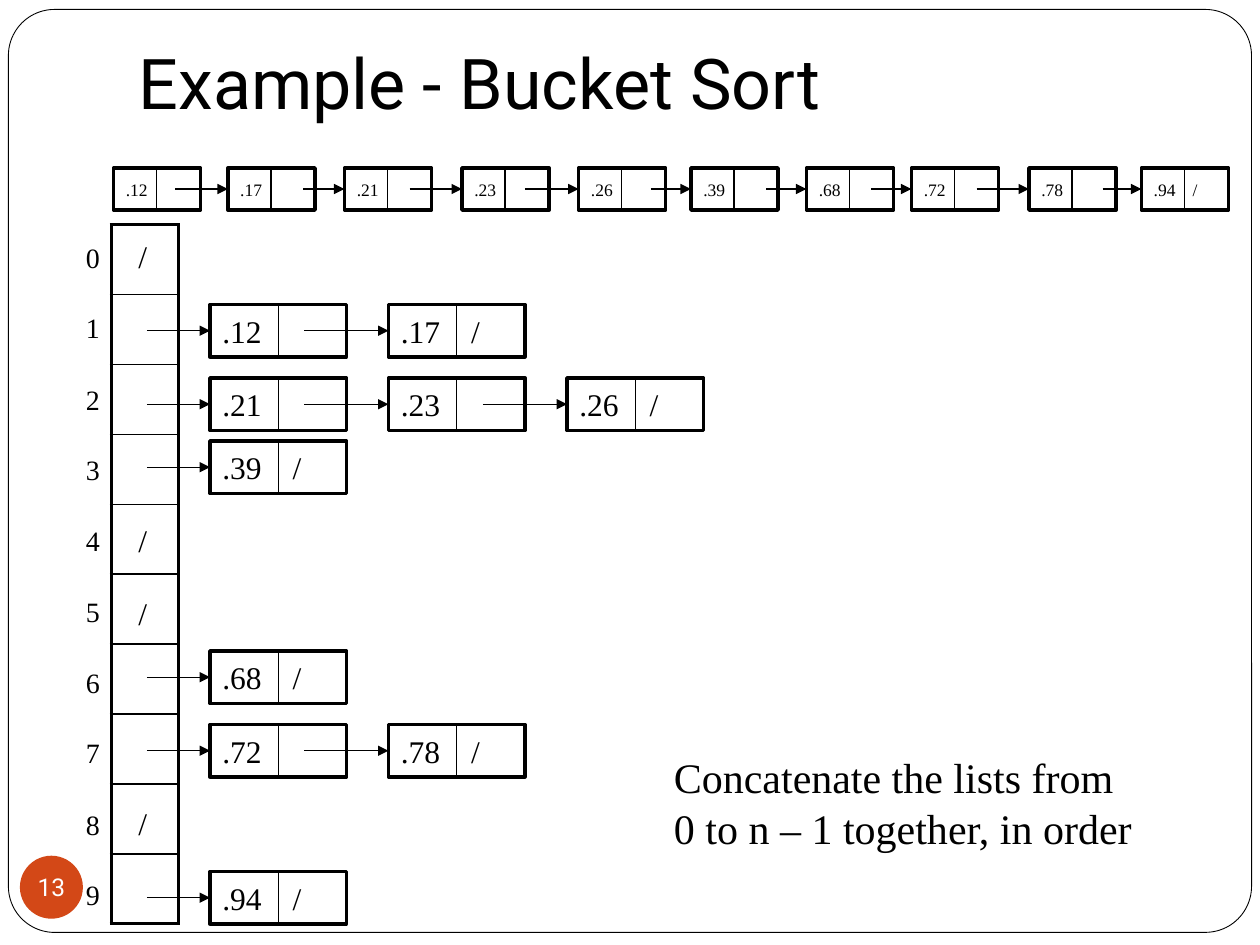
from lxml import etree
from pptx import Presentation
from pptx.dml.color import RGBColor
from pptx.enum.shapes import MSO_CONNECTOR, MSO_SHAPE
from pptx.enum.text import MSO_ANCHOR, MSO_AUTO_SIZE, PP_ALIGN
from pptx.oxml import parse_xml
from pptx.oxml.ns import nsdecls, qn
from pptx.util import Pt

PX = 7620  # 120 px to the inch
BLACK, WHITE, ORANGE = "000000", "FFFFFF", "D34817"
color = RGBColor.from_string


def write(holder, text, size=18, font="Times New Roman", ink=BLACK,
          align=PP_ALIGN.LEFT, anchor=MSO_ANCHOR.TOP, tab=None):
    frame = holder.text_frame
    frame.auto_size = MSO_AUTO_SIZE.NONE
    frame.word_wrap = True
    frame.vertical_anchor = anchor
    for i, line in enumerate(text.split("\n")):
        paragraph = frame.add_paragraph() if i else frame.paragraphs[0]
        paragraph.alignment = align
        if tab:
            tabs = etree.SubElement(paragraph._p.get_or_add_pPr(), qn("a:tabLst"))
            etree.SubElement(tabs, qn("a:tab"), pos=str(tab * PX), algn="l")
        run = paragraph.add_run()
        run.text = line
        run.font.size = Pt(size)
        run.font.name = font
        run.font.color.rgb = color(ink)
    return frame


def draw_line(x1, y1, x2, y2, arrow=False):
    link = slide.shapes.add_connector(
        MSO_CONNECTOR.STRAIGHT, x1 * PX, y1 * PX, x2 * PX, y2 * PX)
    link.line.color.rgb = color(BLACK)
    link.line.width = Pt(0.75)
    if arrow:
        etree.SubElement(link.line._get_or_add_ln(), qn("a:tailEnd"), type="triangle")
    etree.SubElement(link._element.spPr, qn("a:effectLst"))


prs = Presentation()
prs.slide_width, prs.slide_height = 1200 * PX, 900 * PX
slide = prs.slides.add_slide(prs.slide_layouts[5])
shapes = slide.shapes

# Title
title = shapes.title
title.left, title.top, title.width, title.height = 120 * PX, 30 * PX, 1020 * PX, 100 * PX
heading = write(title, "Example - Bucket Sort", size=40, font="Roboto",
                anchor=MSO_ANCHOR.BOTTOM)
heading.margin_bottom = 12 * PX

# Rounded border behind everything
border = shapes.add_shape(MSO_SHAPE.ROUNDED_RECTANGLE, 8 * PX, 9 * PX, 1184 * PX, 879 * PX)
border.adjustments[0] = 0.05
border.shadow.inherit = False
border.fill.solid()
border.fill.fore_color.rgb = color(WHITE)
border.line.color.rgb = color(BLACK)
border.line.width = Pt(0.5)
title.element.addprevious(border.element)

# Bucket array: heavy outside, thin between the cells
buckets = shapes.add_table(10, 1, 106 * PX, 214 * PX, 64 * PX, 666 * PX).table
buckets.first_row = buckets.horz_banding = False
for row in range(10):
    cell = buckets.cell(row, 0)
    cell.fill.background()
    widths = {"lnL": 2.25, "lnR": 2.25,
              "lnT": 2.25 if row == 0 else 1,
              "lnB": 2.25 if row == 9 else 1}
    for position, (side, width) in enumerate(widths.items()):
        cell._tc.get_or_add_tcPr().insert(position, parse_xml(
            f'<a:{side} {nsdecls("a")} w="{Pt(width)}"><a:solidFill>'
            f'<a:srgbClr val="{BLACK}"/></a:solidFill></a:{side}>'))

# Bucket numbers
for bucket in range(10):
    top = 223 + bucket * 135 // 2
    index = shapes.add_textbox(70 * PX, top * PX, 38 * PX, 44 * PX)
    write(index, str(bucket), size=16)

# Empty buckets
for top in (220, 490, 560, 760):
    empty = shapes.add_textbox(120 * PX, top * PX, 32 * PX, 48 * PX)
    write(empty, "/")

# Nodes: value, left, top, width, height, text size, tab, arrow start, is last
nodes = []
bucket_lists = {290: (".12", ".17"), 360: (".21", ".23", ".26"), 420: (".39",),
                620: (".68",), 690: (".72", ".78"), 830: (".94",)}
for top, values in bucket_lists.items():
    for i, value in enumerate(values):
        left = 200 + 170 * i
        start = left - 80 if i else left - 60
        nodes.append((value, left, top, 130, 50, 18, 67, start, i == len(values) - 1))

# Concatenated list along the top
sorted_list = [(".12", 108, None), (".17", 217, 167), (".21", 328, 289),
               (".23", 440, 390), (".26", 551, 500), (".39", 658, 620),
               (".68", 768, 730), (".72", 868, 830), (".78", 980, 930),
               (".94", 1087, 1050)]
for value, left, start in sorted_list:
    nodes.append((value, left, 160, 83, 40, 10, 37, start, value == ".94"))

for value, left, top, width, height, size, tab, start, last in nodes:
    node = shapes.add_shape(MSO_SHAPE.RECTANGLE, left * PX, top * PX, width * PX, height * PX)
    node.shadow.inherit = False
    node.fill.background()
    node.line.color.rgb = color(BLACK)
    node.line.width = Pt(2)
    write(node, value + "\t/" if last else value, size=size,
          anchor=MSO_ANCHOR.MIDDLE, tab=tab if last else None)
    middle = left + width // 2
    draw_line(middle, top, middle, top + height)
    if start:
        draw_line(start, top + height // 2, left, top + height // 2, arrow=True)

# Closing remark
remark = shapes.add_textbox(630 * PX, 710 * PX, 506 * PX, 108 * PX)
write(remark, "Concatenate the lists from\n0 to n – 1 together, in order", size=24)

# Slide number
badge = shapes.add_shape(MSO_SHAPE.OVAL, 19 * PX, 815 * PX, 60 * PX, 60 * PX)
badge.shadow.inherit = False
badge.fill.solid()
badge.fill.fore_color.rgb = color(ORANGE)
badge.line.fill.background()
number = write(badge, "13", size=14, font="Roboto", ink=WHITE,
               align=PP_ALIGN.CENTER, anchor=MSO_ANCHOR.MIDDLE)
number.margin_left = number.margin_right = number.margin_top = number.margin_bottom = 0

prs.save("out.pptx")
